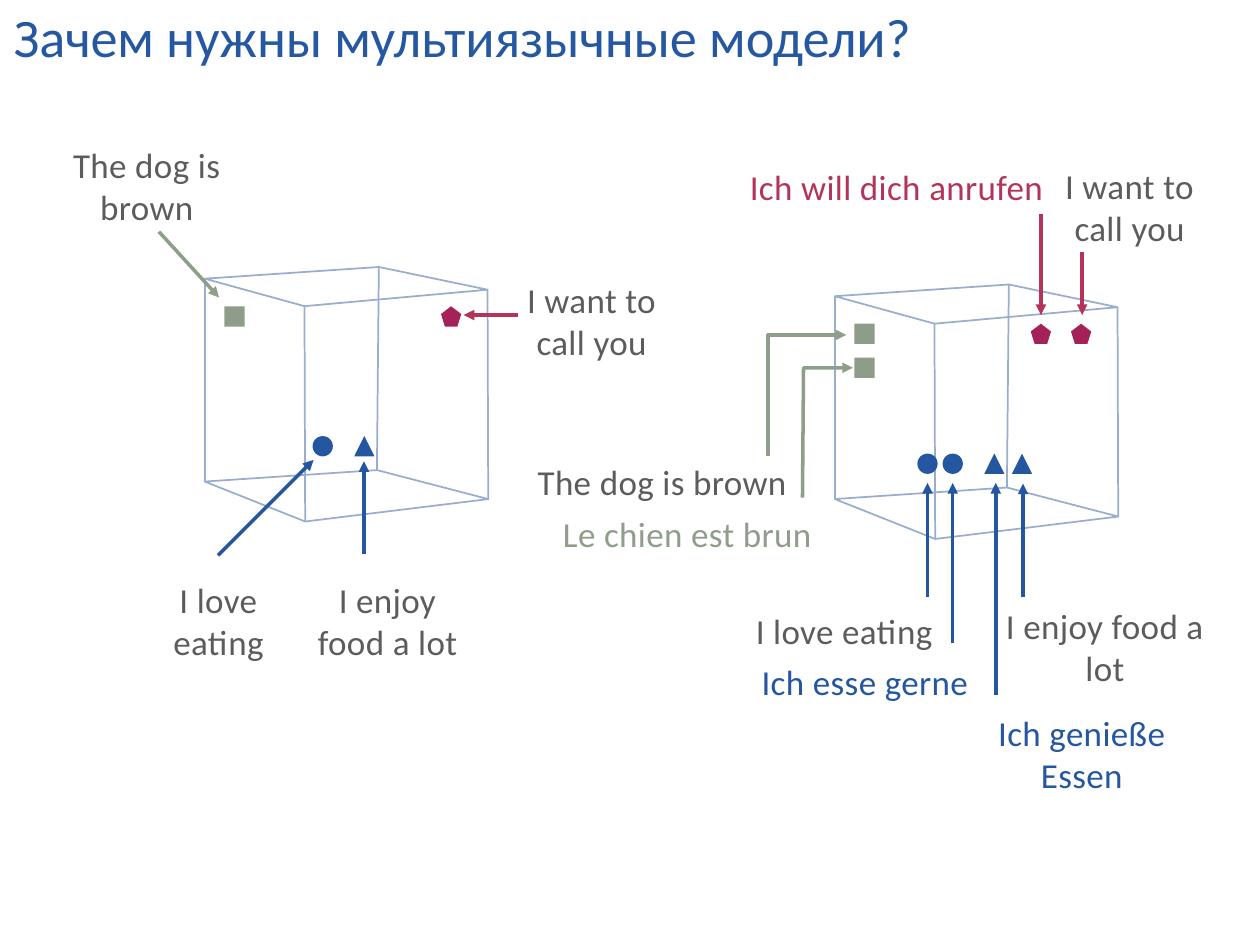
"""Build the slide that compares monolingual and multilingual sentence spaces."""
from dataclasses import dataclass

import lxml.etree
import pptx
import pptx.dml.color
import pptx.enum.shapes
import pptx.enum.text
import pptx.oxml.ns
import pptx.slide
import pptx.util

Pt = pptx.util.Pt
SHAPES = pptx.enum.shapes.MSO_SHAPE
Point = tuple[float, float]

TITLE_BLUE, BLUE, CUBE_BLUE = "2558A1", "2557A1", "99ADCD"
SAGE, SAGE_LINE = "8E9D8A", "8E9E8A"
CRIMSON, CRIMSON_LINE = "A42159", "B43359"
GREY = "5C5C5C"
MARKER_SIZE = 11.6
RIGHT_SHIFT = (360, 10)
CUBE_ORIGIN = (117, 152.6)
CUBE_TOP = [(0, 6.7), (99.5, 0), (161.6, 13), (57, 22.4)]
CUBE_BOTTOM = [(0, 122.6), (98.4, 116), (162, 132.6), (57.4, 145.4)]


@dataclass(frozen=True)
class Caption:
    text: str
    left: float
    top: float
    width: float
    height: float = 23.8
    color: str = GREY


@dataclass(frozen=True)
class Marker:
    kind: SHAPES
    left: float
    top: float
    color: str


@dataclass(frozen=True)
class Arrow:
    start: Point
    end: Point
    color: str


MARKERS = [
    Marker(SHAPES.RECTANGLE, 128.2, 175, SAGE),
    Marker(SHAPES.REGULAR_PENTAGON, 252, 175, CRIMSON),
    Marker(SHAPES.OVAL, 178.6, 249.2, BLUE),
    Marker(SHAPES.ISOSCELES_TRIANGLE, 202.4, 249.2, BLUE),
]
TRANSLATED_MARKERS = [
    Marker(SHAPES.RECTANGLE, 488.2, 204.4, SAGE),
    Marker(SHAPES.REGULAR_PENTAGON, 589, 185, CRIMSON),
    Marker(SHAPES.OVAL, 524.2, 259.2, BLUE),
    Marker(SHAPES.ISOSCELES_TRIANGLE, 578.2, 259.2, BLUE),
]
ARROWS = [
    Arrow((90.8, 132.4), (125.2, 170), SAGE_LINE),
    Arrow((296, 180), (265, 180), CRIMSON_LINE),
    Arrow((124.6, 317.4), (179.2, 262.8), BLUE),
    Arrow((208, 316.8), (208, 263.6), BLUE),
    Arrow((530, 341.2), (530, 276), BLUE),
    Arrow((544.4, 367.2), (544.4, 276), BLUE),
    Arrow((569, 397.4), (569, 276), BLUE),
    Arrow((584.6, 341.2), (584.6, 276.4), BLUE),
    Arrow((618.4, 144), (618.4, 180), CRIMSON_LINE),
    Arrow((594.8, 122.4), (594.8, 180), CRIMSON_LINE),
]
ELBOWS = [
    [(439, 260.6), (439, 191.4), (483.6, 191.4)],
    [(458.6, 284.4), (459.2, 210.2), (487.4, 210.2)],
]
CAPTIONS = [
    Caption("The dog is brown", 20.2, 80, 127.4, 47.6),
    Caption("I want to call you", 288.8, 157, 98.6, 47.6),
    Caption("I love eating", 75.6, 328.4, 98.6, 47.6),
    Caption("I enjoy food a lot", 172.2, 328.4, 98.6, 47.6),
    Caption("The dog is brown", 292.4, 261.4, 172),
    Caption("Le chien est brun", 306.8, 290.8, 172, color=SAGE_LINE),
    Caption("I love eating", 423.4, 346.4, 118),
    Caption("Ich esse gerne", 427.6, 375.2, 133.2, color=BLUE),
    Caption("I enjoy food a lot", 572.4, 343.4, 118, 47.6),
    Caption("Ich genieße Essen", 551.6, 404.6, 133.2, 47.6, BLUE),
    Caption("I want to call you", 596.2, 92.2, 98.6, 47.6),
    Caption("Ich will dich anrufen", 421.2, 92.8, 182.2, color=CRIMSON_LINE),
]


def rgb(value: str) -> pptx.dml.color.RGBColor:
    return pptx.dml.color.RGBColor.from_string(value)


def style_line(line, color: str, width: float, arrowhead: bool = False) -> None:
    line.color.rgb = rgb(color)
    line.width = Pt(width)
    if arrowhead:
        tail = lxml.etree.SubElement(line._get_or_add_ln(), pptx.oxml.ns.qn("a:tailEnd"))
        tail.set("type", "triangle")


def draw_text(slide: pptx.slide.Slide, caption: Caption, size: float):
    box = slide.shapes.add_textbox(
        Pt(caption.left), Pt(caption.top), Pt(caption.width), Pt(caption.height))
    frame = box.text_frame
    frame.word_wrap = True
    frame.margin_left = frame.margin_right = frame.margin_top = frame.margin_bottom = Pt(2)
    frame.text = caption.text
    paragraph = frame.paragraphs[0]
    font = paragraph.runs[0].font
    font.name, font.size, font.color.rgb = "Calibri", Pt(size), rgb(caption.color)
    return paragraph


def draw_title(slide: pptx.slide.Slide) -> None:
    title = Caption("Зачем нужны мультиязычные модели?", 0, 0, 707.8, 75.6, TITLE_BLUE)
    paragraph = draw_text(slide, title, 31)
    paragraph._p.get_or_add_pPr().set("indent", str(Pt(5.8)))


def draw_caption(slide: pptx.slide.Slide, caption: Caption) -> None:
    paragraph = draw_text(slide, caption, 20)
    paragraph.alignment = pptx.enum.text.PP_ALIGN.CENTER
    paragraph.runs[0]._r.get_or_add_rPr().set("spc", "20")


def draw_outline(slide: pptx.slide.Slide, points: list[Point], close: bool):
    corners = [(Pt(x), Pt(y)) for x, y in points]
    builder = slide.shapes.build_freeform(*corners[0])
    builder.add_line_segments(corners[1:], close=close)
    outline = builder.convert_to_shape()
    outline.shadow.inherit = False
    outline.fill.background()
    return outline


def draw_segment(slide: pptx.slide.Slide, start: Point, end: Point, color: str,
                 width: float, arrowhead: bool = False) -> None:
    segment = slide.shapes.add_connector(
        pptx.enum.shapes.MSO_CONNECTOR.STRAIGHT, *(Pt(n) for n in start + end))
    style_line(segment.line, color, width, arrowhead)
    lxml.etree.SubElement(segment._element.spPr, pptx.oxml.ns.qn("a:effectLst"))


def draw_marker(slide: pptx.slide.Slide, marker: Marker, shift: Point = (0, 0)) -> None:
    symbol = slide.shapes.add_shape(
        marker.kind, Pt(marker.left + shift[0]), Pt(marker.top + shift[1]),
        Pt(MARKER_SIZE), Pt(MARKER_SIZE))
    symbol.shadow.inherit = False
    symbol.fill.solid()
    symbol.fill.fore_color.rgb = rgb(marker.color)
    symbol.line.fill.background()


def draw_space(slide: pptx.slide.Slide, shift: Point) -> None:
    left, top = CUBE_ORIGIN[0] + shift[0], CUBE_ORIGIN[1] + shift[1]
    faces = [[(left + x, top + y) for x, y in face] for face in (CUBE_TOP, CUBE_BOTTOM)]
    for face in faces:
        style_line(draw_outline(slide, face, True).line, CUBE_BLUE, 1)
    for upper, lower in zip(*faces):
        draw_segment(slide, lower, upper, CUBE_BLUE, 1)
    for marker in MARKERS:
        draw_marker(slide, marker, shift)


def main() -> None:
    deck = pptx.Presentation()
    deck.slide_width, deck.slide_height = Pt(720), Pt(540)
    slide = deck.slides.add_slide(deck.slide_layouts[6])
    draw_title(slide)
    for shift in ((0, 0), RIGHT_SHIFT):
        draw_space(slide, shift)
    for marker in TRANSLATED_MARKERS:
        draw_marker(slide, marker)
    for arrow in ARROWS:
        draw_segment(slide, arrow.start, arrow.end, arrow.color, 2, True)
    for elbow in ELBOWS:
        style_line(draw_outline(slide, elbow, False).line, SAGE_LINE, 2, True)
    for caption in CAPTIONS:
        draw_caption(slide, caption)
    deck.save("out.pptx")


if __name__ == "__main__":
    main()
